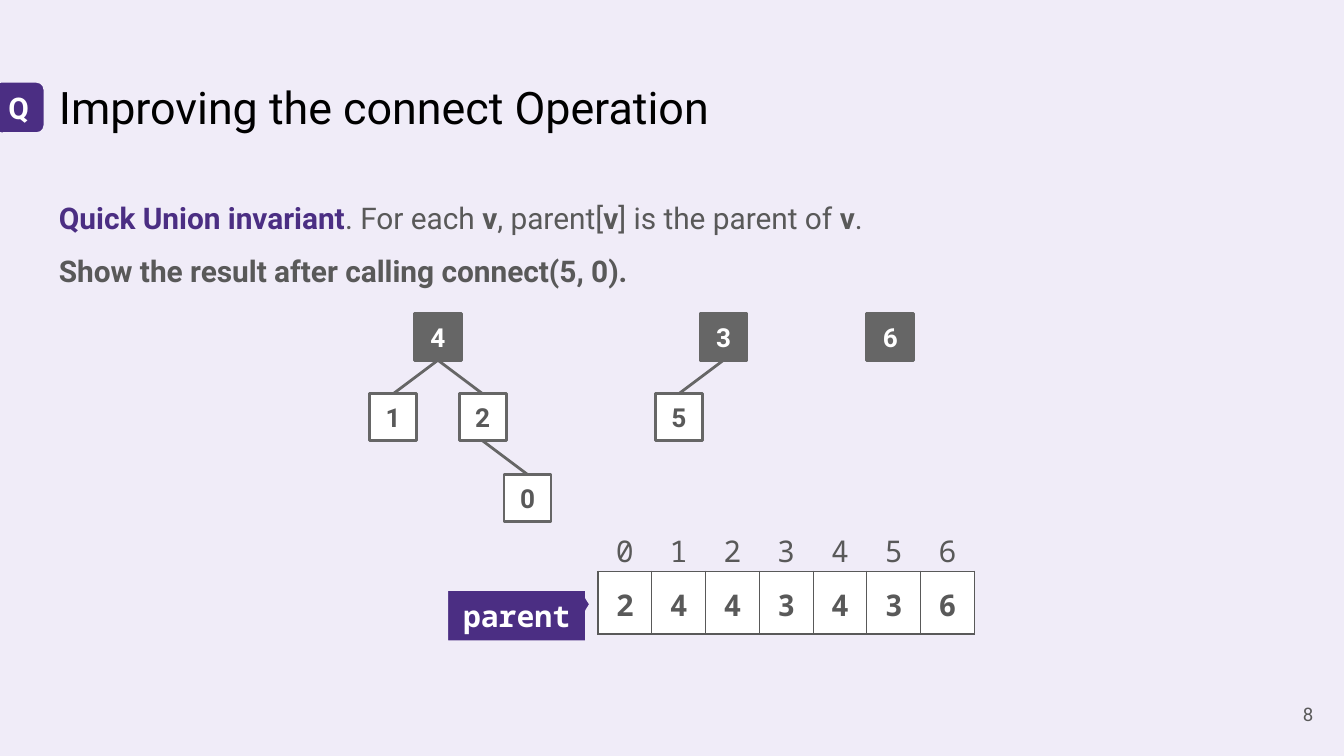
from dataclasses import dataclass
from typing import Any

import lxml.etree
import pptx
import pptx.dml.color
import pptx.enum.shapes
import pptx.enum.text
import pptx.oxml.ns
import pptx.util

Pt = pptx.util.Pt
qn = pptx.oxml.ns.qn
Kind = pptx.enum.shapes.MSO_SHAPE
Align = pptx.enum.text.PP_ALIGN
Anchor = pptx.enum.text.MSO_ANCHOR

PALE, PURPLE, GRAY, TEXT = "F0ECF8", "4B2E83", "666666", "595959"
WHITE, BLACK = "FFFFFF", "000000"
SANS, MONO = "Roboto", "Noto Sans Mono"
SIDE, STEP, TOP = 25.2, 43.2, 167.8
LEFT, CELL = 320.4, 28.8


@dataclass
class Box:
    x: float
    y: float
    w: float
    h: float


@dataclass
class Style:
    size: float
    color: str = TEXT
    bold: bool = False
    face: str = SANS


@dataclass
class Node:
    name: str
    x: float
    level: int
    up: str = ""

    @property
    def y(self) -> float:
        return TOP + STEP * self.level

    @property
    def mid(self) -> float:
        return self.x + SIDE / 2


NODES = [
    Node("4", 222, 0),
    Node("1", 198, 1, "4"),
    Node("2", 246, 1, "4"),
    Node("0", 270, 2, "2"),
    Node("3", 375, 0),
    Node("5", 351, 1, "3"),
    Node("6", 464.4, 0),
]
PARENT = "2443436"
BODY = [
    [
        ("Quick Union invariant", PURPLE, True),
        (". For each ", TEXT, False),
        ("v", TEXT, True),
        (", parent[", TEXT, False),
        ("v", TEXT, True),
        ("] is the parent of ", TEXT, False),
        ("v", TEXT, True),
        (".", TEXT, False),
    ],
    [("Show the result after calling connect(5, 0).", TEXT, True)],
]


def rgb(code: str) -> Any:
    return pptx.dml.color.RGBColor.from_string(code)


def paint(run: Any, style: Style) -> None:
    font = run.font
    font.size, font.bold, font.name = Pt(style.size), style.bold, style.face
    font.color.rgb = rgb(style.color)


def write(frame: Any, text: str, style: Style, align: Any) -> None:
    frame.text = text
    para = frame.paragraphs[0]
    para.alignment = align
    for run in para.runs:
        paint(run, style)


def setup(frame: Any, anchor: Any, inset: float = 7.2) -> None:
    """Give a text frame its wrap, anchor and margins."""
    frame.word_wrap = True
    frame.vertical_anchor = anchor
    frame.margin_left = frame.margin_right = Pt(inset)
    frame.margin_top = frame.margin_bottom = Pt(7.2)


def place(box: Box) -> tuple:
    return Pt(box.x), Pt(box.y), Pt(box.w), Pt(box.h)


def label(slide: Any, box: Box, text: str, style: Style, align: Any = Align.LEFT,
          anchor: Any = Anchor.MIDDLE, inset: float = 7.2) -> Any:
    frame = slide.shapes.add_textbox(*place(box)).text_frame
    setup(frame, anchor, inset)
    write(frame, text, style, align)
    return frame


def block(slide: Any, kind: Any, box: Box, text: str, style: Style,
          fill: str, line: str, width: float) -> Any:
    """Draw a filled shape with centred text."""
    shape = slide.shapes.add_shape(kind, *place(box))
    shape.shadow.inherit = False
    shape.fill.solid()
    shape.fill.fore_color.rgb = rgb(fill)
    shape.line.color.rgb = rgb(line)
    shape.line.width = Pt(width)
    setup(shape.text_frame, Anchor.MIDDLE)
    write(shape.text_frame, text, style, Align.CENTER)
    return shape


def edge(slide: Any, top: Node, low: Node) -> None:
    line = slide.shapes.add_connector(
        pptx.enum.shapes.MSO_CONNECTOR.STRAIGHT,
        Pt(top.mid), Pt(top.y + SIDE), Pt(low.mid), Pt(low.y))
    line.line.color.rgb = rgb(GRAY)
    line.line.width = Pt(1.5)
    lxml.etree.SubElement(line._element.spPr, qn("a:effectLst"))


def border(cell: Any) -> None:
    props = cell._tc.get_or_add_tcPr()
    for side in "LRTB":
        line = lxml.etree.SubElement(props, qn(f"a:ln{side}"), w=str(Pt(0.75)))
        fill = lxml.etree.SubElement(line, qn("a:solidFill"))
        lxml.etree.SubElement(fill, qn("a:srgbClr"), val=TEXT)


def body(slide: Any) -> None:
    frame = slide.shapes.add_textbox(*place(Box(24.5, 90.7, 671, 64.8))).text_frame
    setup(frame, Anchor.TOP)
    for row, parts in enumerate(BODY):
        para = frame.add_paragraph() if row else frame.paragraphs[0]
        para.line_spacing = 1.48
        for text, color, bold in parts:
            run = para.add_run()
            run.text = text
            paint(run, Style(16, color, bold))


def tree(slide: Any) -> None:
    known = {node.name: node for node in NODES}
    for node in NODES:
        fill, ink = (WHITE, TEXT) if node.up else (GRAY, WHITE)
        block(slide, Kind.RECTANGLE, Box(node.x, node.y, SIDE, SIDE), node.name,
              Style(14, ink, True), fill, GRAY, 1.5)
    for node in NODES:
        if node.up:
            edge(slide, known[node.up], node)


def array(slide: Any) -> None:
    """Draw the parent array, its indices and its name tag."""
    count = len(PARENT)
    wide = CELL * count
    table = slide.shapes.add_table(1, count, *place(Box(LEFT, 306, wide, 30.2))).table
    table.first_row = table.horz_banding = False
    for col, value in enumerate(PARENT):
        table.columns[col].width = Pt(CELL)
        cell = table.cell(0, col)
        cell.margin_left = cell.margin_right = 0
        cell.margin_top = cell.margin_bottom = Pt(7.2)
        border(cell)
        cell.fill.solid()
        cell.fill.fore_color.rgb = rgb(WHITE)
        write(cell.text_frame, value, Style(16, TEXT, True, MONO), Align.CENTER)

    frame = label(slide, Box(LEFT, 284.4, wide, 21.6), "\t".join(map(str, range(count))),
                  Style(16, face=MONO), inset=9.6)
    props = frame.paragraphs[0]._p.get_or_add_pPr()
    tabs = lxml.etree.SubElement(props, qn("a:tabLst"))
    for col in range(1, count):
        lxml.etree.SubElement(tabs, qn("a:tab"), pos=str(Pt(CELL * col)), algn="l")

    tag = block(slide, Kind.ROUNDED_RECTANGULAR_CALLOUT, Box(239, 315.4, 75.6, 28.8),
                "parent", Style(16, WHITE, True, MONO), PURPLE, PALE, 2.25)
    for spot, value in enumerate((0.53, -0.21, 0)):
        tag.adjustments[spot] = value


def main() -> None:
    deck = pptx.Presentation()
    deck.slide_width, deck.slide_height = Pt(720), Pt(405)
    slide = deck.slides.add_slide(deck.slide_layouts[6])
    slide.background.fill.solid()
    slide.background.fill.fore_color.rgb = rgb(PALE)
    label(slide, Box(24.5, 35.3, 671, 45.4), "Improving the connect Operation",
          Style(24, BLACK), anchor=Anchor.TOP)
    body(slide)
    label(slide, Box(667.4, 367.2, 43.2, 31), "8", Style(10), Align.RIGHT)
    tree(slide)
    array(slide)
    block(slide, Kind.ROUNDED_RECTANGLE, Box(-4.3, 43.2, 28.8, 28.8), "Q",
          Style(16, WHITE, True), PURPLE, PALE, 2.25)
    deck.save("out.pptx")


if __name__ == "__main__":
    main()
